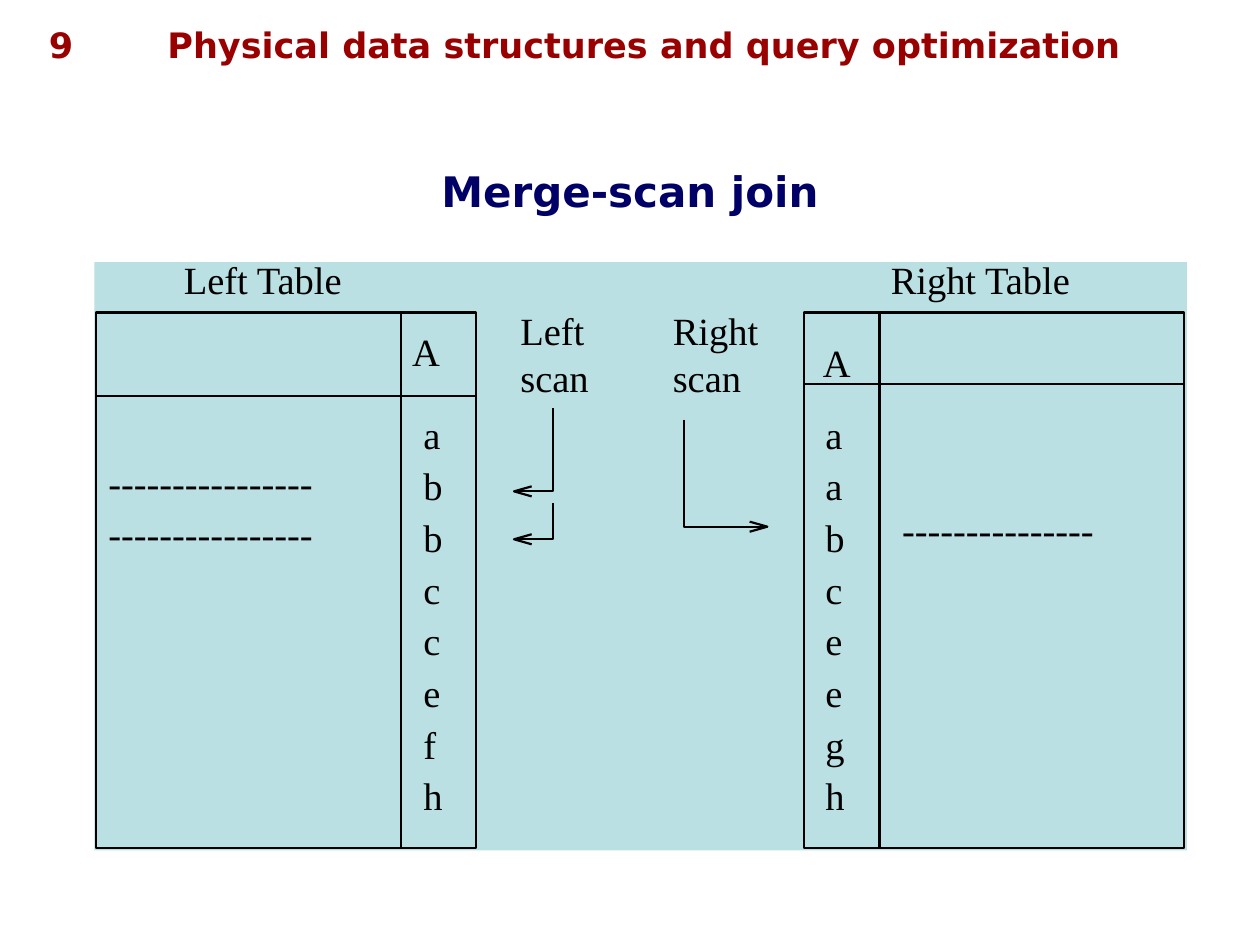
"""Build the merge-scan join slide."""
from dataclasses import dataclass

from lxml.etree import SubElement
from pptx import Presentation
from pptx.dml.color import RGBColor
from pptx.enum.shapes import MSO_CONNECTOR, MSO_SHAPE
from pptx.enum.text import MSO_ANCHOR, PP_ALIGN
from pptx.oxml.ns import qn
from pptx.util import Inches, Pt

BLACK = RGBColor(0x00, 0x00, 0x00)
DARK_RED = RGBColor(0x99, 0x00, 0x00)
NAVY = RGBColor(0x00, 0x00, 0x66)
PALE_TEAL = RGBColor(0xBB, 0xE0, 0xE3)

LINE_WIDTH = Pt(1.25)
TABLE_TOP, TABLE_WIDTH, TABLE_HEIGHT = 2.48, 3.02, 4.25
FIRST_ROW, ROW_PITCH = 3.26, 0.41
TEXT_HEIGHT = 0.37
HEAD_LENGTH, HEAD_HALF_WIDTH = 0.14, 0.04

Point = tuple[float, float]


@dataclass(frozen=True)
class TextStyle:
    font: dict
    inset: tuple[float, float] = (0, 0)
    align: PP_ALIGN = PP_ALIGN.LEFT
    anchor: MSO_ANCHOR = MSO_ANCHOR.TOP


@dataclass(frozen=True)
class Label:
    text: str
    left: float
    top: float
    width: float
    height: float = TEXT_HEIGHT


@dataclass(frozen=True)
class JoinTable:
    left: float
    divider: float
    header_bottom: float
    values_left: float
    values: str


@dataclass(frozen=True)
class ScanArrow:
    start: Point
    end: Point


HEADER_FONT = {"name": "DejaVu Sans", "size": Pt(20), "bold": True}
BODY = TextStyle({"name": "Times New Roman", "size": Pt(22)})
HEADER = TextStyle(HEADER_FONT, (0.1, 0.05))
PAGE_NUMBER = TextStyle(HEADER_FONT, (0.1, 0.05), PP_ALIGN.CENTER)
TITLE = TextStyle({**HEADER_FONT, "size": Pt(24)}, (0.1, 0.05),
                  PP_ALIGN.CENTER, MSO_ANCHOR.MIDDLE)

TABLES = [
    JoinTable(0.76, 3.18, 3.14, 3.36, "abbccefh"),
    JoinTable(6.38, 6.98, 3.05, 6.55, "aabceegh"),
]
SCAN_ARROWS = [
    ScanArrow((4.39, 3.24), (4.08, 3.9)),
    ScanArrow((4.39, 3.99), (4.08, 4.28)),
    ScanArrow((5.43, 3.33), (6.09, 4.18)),
]
LABELS = [
    Label("Left\nscan", 4.13, 2.44, 0.6, 0.73),
    Label("Right\nscan", 5.34, 2.44, 0.73, 0.73),
    Label("A", 3.27, 2.6, 0.25),
    Label("A", 6.53, 2.69, 0.25),
    Label("-" * 16, 0.86, 3.64, 1.7),
    Label("-" * 16, 0.86, 4.05, 1.7),
    Label("-" * 15, 7.16, 4.02, 1.6),
    Label("Left Table", 1.46, 2.03, 1.35),
    Label("Right Table", 7.07, 2.03, 1.5),
]


def add_label(slide, label: Label, style: TextStyle = BODY, color: RGBColor = BLACK) -> None:
    box = slide.shapes.add_textbox(Inches(label.left), Inches(label.top),
                                   Inches(label.width), Inches(label.height))
    horizontal, vertical = map(Inches, style.inset)
    frame = box.text_frame
    frame_format = {
        "margin_left": horizontal, "margin_right": horizontal,
        "margin_top": vertical, "margin_bottom": vertical,
        "word_wrap": True, "vertical_anchor": style.anchor,
    }
    for name, value in frame_format.items():
        setattr(frame, name, value)
    frame.text = label.text
    for paragraph in frame.paragraphs:
        paragraph.alignment = style.align
        for name, value in style.font.items():
            setattr(paragraph.font, name, value)
        paragraph.font.color.rgb = color


def outline(shape) -> None:
    shape.shadow.inherit = False
    shape.fill.background()
    shape.line.color.rgb = BLACK
    shape.line.width = LINE_WIDTH


def add_rectangle(slide, left: float, top: float, width: float, height: float):
    return slide.shapes.add_shape(MSO_SHAPE.RECTANGLE, Inches(left), Inches(top),
                                  Inches(width), Inches(height))


def add_rule(slide, start: Point, end: Point) -> None:
    connector = slide.shapes.add_connector(MSO_CONNECTOR.STRAIGHT, *map(Inches, start + end))
    connector.line.color.rgb = BLACK
    connector.line.width = LINE_WIDTH
    SubElement(connector._element.spPr, qn("a:effectLst"))


def add_polyline(slide, points: list[Point]) -> None:
    first, *others = [(Inches(x), Inches(y)) for x, y in points]
    builder = slide.shapes.build_freeform(*first)
    builder.add_line_segments(others, close=False)
    outline(builder.convert_to_shape())


def add_scan_arrow(slide, arrow: ScanArrow) -> None:
    start_x, start_y = arrow.start
    end_x, end_y = arrow.end
    add_polyline(slide, [(start_x, start_y), (start_x, end_y), (end_x, end_y)])
    back_x = end_x + (HEAD_LENGTH if start_x > end_x else -HEAD_LENGTH)
    add_polyline(slide, [(back_x, end_y - HEAD_HALF_WIDTH), (end_x, end_y),
                         (back_x, end_y + HEAD_HALF_WIDTH)])


def add_join_table(slide, table: JoinTable) -> None:
    outline(add_rectangle(slide, table.left, TABLE_TOP, TABLE_WIDTH, TABLE_HEIGHT))
    add_rule(slide, (table.left, table.header_bottom),
             (table.left + TABLE_WIDTH, table.header_bottom))
    add_rule(slide, (table.divider, TABLE_TOP), (table.divider, TABLE_TOP + TABLE_HEIGHT))
    for row, value in enumerate(table.values):
        add_label(slide, Label(value, table.values_left, FIRST_ROW + row * ROW_PITCH, 0.2))


def main() -> None:
    presentation = Presentation()
    presentation.slide_width, presentation.slide_height = Inches(10), Inches(7.5)
    slide = presentation.slides.add_slide(presentation.slide_layouts[6])

    add_label(slide, Label("Physical data structures and query optimization",
                           1.23, 0.14, 8.51, 0.44), HEADER, DARK_RED)
    add_label(slide, Label("9", 0.13, 0.14, 0.71, 0.44), PAGE_NUMBER, DARK_RED)
    add_label(slide, Label("Merge-scan join", 0, 1.24, 10, 0.54), TITLE, NAVY)

    panel = add_rectangle(slide, 0.75, 2.08, 8.67, 4.67)
    panel.shadow.inherit = False
    panel.fill.solid()
    panel.fill.fore_color.rgb = PALE_TEAL
    panel.line.fill.background()

    for table in TABLES:
        add_join_table(slide, table)
    for arrow in SCAN_ARROWS:
        add_scan_arrow(slide, arrow)
    for label in LABELS:
        add_label(slide, label)

    presentation.save("out.pptx")


if __name__ == "__main__":
    main()
